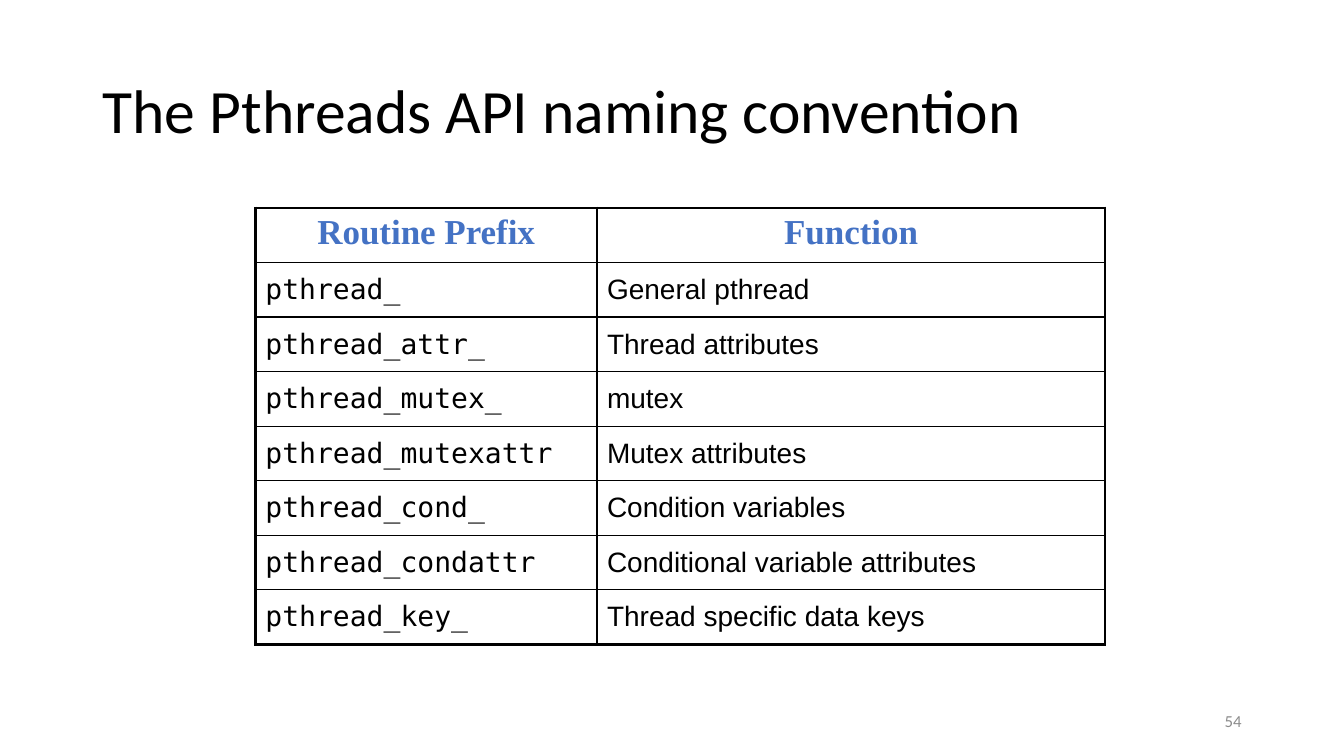
from lxml.etree import SubElement
from pptx import Presentation
from pptx.dml.color import RGBColor
from pptx.enum.text import MSO_ANCHOR, MSO_AUTO_SIZE, PP_ALIGN
from pptx.oxml.ns import qn
from pptx.util import Pt

BLACK, BLUE, GRAY = "000000", "4472C4", "8C8C8C"
OUTER_WIDTH, INNER_WIDTH = 2.25, 1
COLUMN_WIDTHS = (244, 363)
COLUMN_FONTS = ("DejaVu Sans Mono", "Arial")
HEADINGS = ("Routine Prefix", "Function")
ROUTINES = [
    ("pthread_", "General pthread"),
    ("pthread_attr_", "Thread attributes"),
    ("pthread_mutex_", "mutex"),
    ("pthread_mutexattr", "Mutex attributes"),
    ("pthread_cond_", "Condition variables"),
    ("pthread_condattr", "Conditional variable attributes"),
    ("pthread_key_", "Thread specific data keys"),
]


def color(hex_string):
    return RGBColor.from_string(hex_string)


def write(text_frame, text, font_name, size, hex_color, align=PP_ALIGN.LEFT, bold=False):
    """Fill a text frame with one formatted paragraph and return it."""
    text_frame.text = text
    paragraph = text_frame.paragraphs[0]
    paragraph.alignment = align
    font = paragraph.runs[0].font
    font.name, font.size, font.bold = font_name, Pt(size), bold
    font.color.rgb = color(hex_color)
    return paragraph


def set_space_before_percent(paragraph, percent):
    space_before = SubElement(paragraph._p.get_or_add_pPr(), qn("a:spcBef"))
    SubElement(space_before, qn("a:spcPct"), val=str(percent * 1000))


def set_borders(cell, left, right, top, bottom):
    """Draw black cell borders; widths are in points."""
    properties = cell._tc.get_or_add_tcPr()
    for side, width in zip("LRTB", (left, right, top, bottom)):
        line = SubElement(properties, qn(f"a:ln{side}"), w=str(Pt(width)))
        fill = SubElement(line, qn("a:solidFill"))
        SubElement(fill, qn("a:srgbClr"), val=BLACK)


def add_title(slide, left, top, width, height):
    title = slide.shapes.title
    title.left, title.top, title.width, title.height = map(Pt, (left, top, width, height))
    text_frame = title.text_frame
    text_frame.auto_size = MSO_AUTO_SIZE.NONE
    text_frame.vertical_anchor = MSO_ANCHOR.MIDDLE
    paragraph = write(text_frame, "The Pthreads API naming convention", "Calibri", 44, BLACK)
    paragraph.line_spacing = 0.9


def add_routine_table(slide, left, top, row_height):
    rows = [HEADINGS, *ROUTINES]
    last_row, last_column = len(rows) - 1, len(HEADINGS) - 1
    table = slide.shapes.add_table(
        len(rows), len(HEADINGS), Pt(left), Pt(top),
        Pt(sum(COLUMN_WIDTHS)), Pt(row_height * len(rows))).table
    table.first_row = table.horz_banding = False
    for column, width in zip(table.columns, COLUMN_WIDTHS):
        column.width = Pt(width)

    def border_width(is_outer):
        return OUTER_WIDTH if is_outer else INNER_WIDTH

    for row_index, texts in enumerate(rows):
        for column_index, text in enumerate(texts):
            cell = table.cell(row_index, column_index)
            if row_index == 0:
                paragraph = write(cell.text_frame, text, "Times New Roman", 25, BLUE,
                                  PP_ALIGN.CENTER, bold=True)
            else:
                paragraph = write(cell.text_frame, text, COLUMN_FONTS[column_index], 20, BLACK)
                cell.vertical_anchor = MSO_ANCHOR.MIDDLE
            set_space_before_percent(paragraph, 20)
            set_borders(cell,
                        left=border_width(column_index == 0),
                        right=border_width(column_index == last_column),
                        top=border_width(row_index == 0),
                        bottom=border_width(row_index == last_row))
            cell.fill.background()


def add_slide_number(slide, left, top, width, height):
    box = slide.shapes.add_textbox(Pt(left), Pt(top), Pt(width), Pt(height))
    box.text_frame.word_wrap = True
    box.text_frame.vertical_anchor = MSO_ANCHOR.MIDDLE
    write(box.text_frame, "54", "Calibri", 12, GRAY, PP_ALIGN.RIGHT)


def main():
    presentation = Presentation()
    presentation.slide_width, presentation.slide_height = Pt(960), Pt(540)
    slide = presentation.slides.add_slide(presentation.slide_layouts[5])
    add_title(slide, 66, 28.75, 828, 104.4)
    add_routine_table(slide, 182.4, 148.5, 39)
    add_slide_number(slide, 678, 500.5, 216, 28.75)
    presentation.save("out.pptx")


if __name__ == "__main__":
    main()
